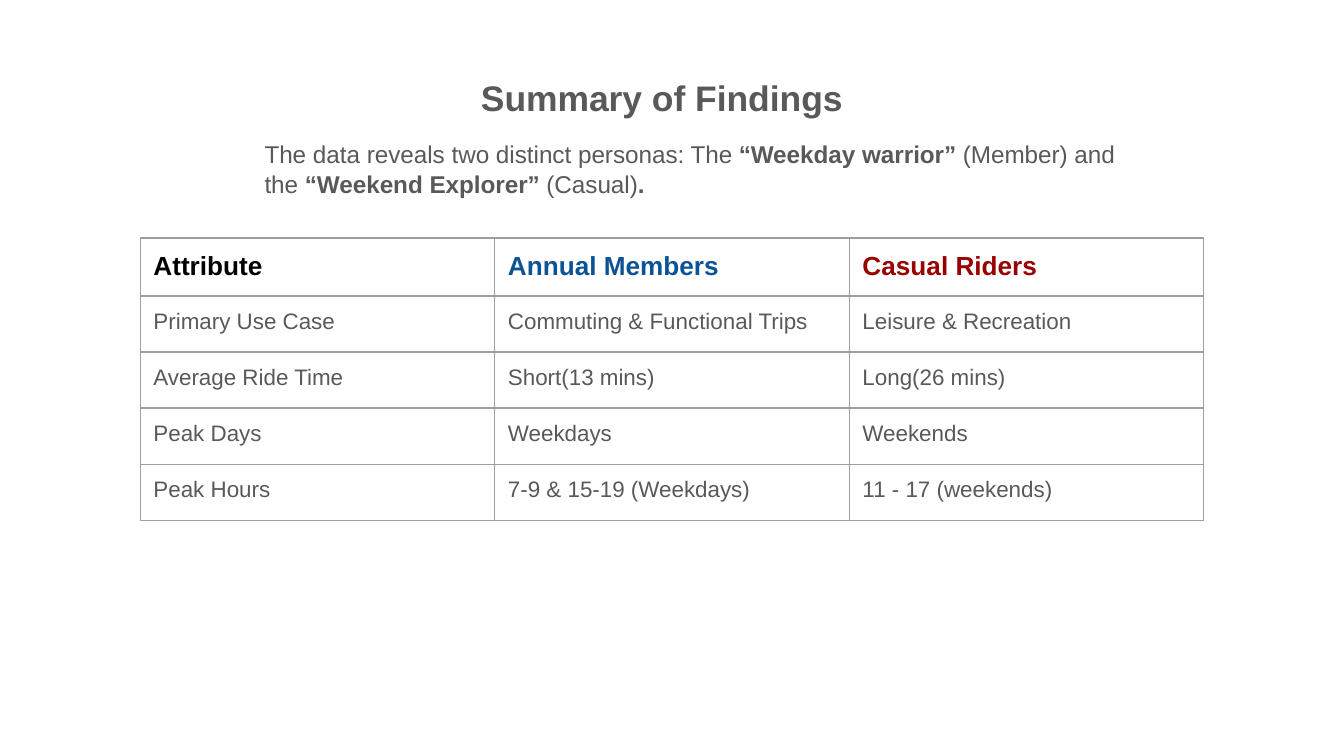
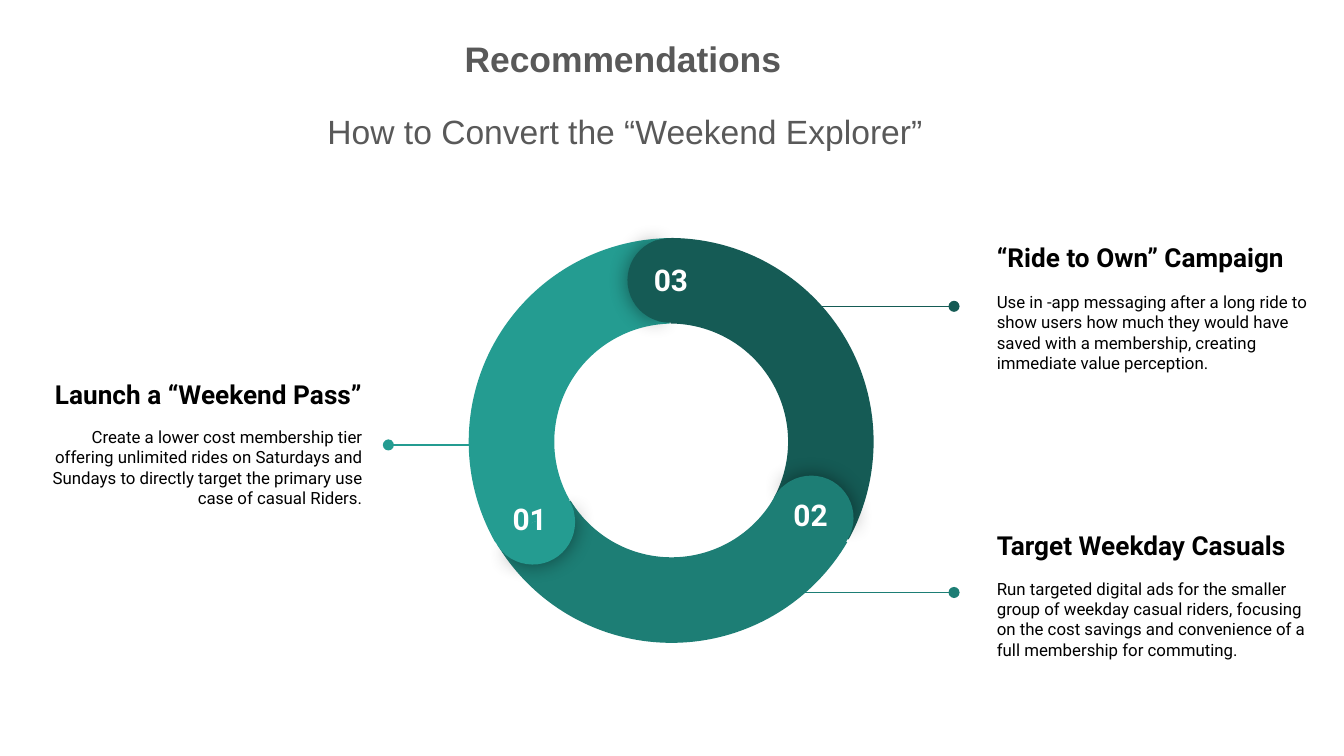
from typing import Any, NamedTuple

from lxml.etree import SubElement
from pptx import Presentation
from pptx.dml.color import RGBColor
from pptx.enum.shapes import MSO_CONNECTOR, MSO_SHAPE
from pptx.enum.text import MSO_ANCHOR, MSO_AUTO_SIZE, PP_ALIGN
from pptx.oxml.ns import qn
from pptx.util import Cm, Pt

COLORS = {
    "text": "595959", "black": "000000", "white": "FFFFFF", "grid": "9E9E9E",
    "member": "0B5394", "casual": "990000",
    "light": "249C91", "mid": "1D7E75", "dark": "155B55",
}
INSET = Cm(0.25)

# Font formats
TITLE = {"name": "Arial", "size": Pt(19), "bold": True, "color": "text"}
SUBTITLE = {**TITLE, "size": Pt(18), "bold": False}
INTRO = {**SUBTITLE, "size": Pt(13)}
STRONG = {**INTRO, "bold": True}
HEADER = {**TITLE, "size": Pt(14), "color": "black"}
CELL = {**INTRO, "size": Pt(12)}
NOTE_HEAD = {**HEADER, "name": "Roboto"}
NOTE_BODY = {**NOTE_HEAD, "size": Pt(9), "bold": False}
NUMBER = {**NOTE_HEAD, "size": Pt(16), "color": "white"}

# Paragraph and frame formats
HEADLINE = {"line_spacing": 1.15, "space_after": Pt(4)}
GROW = {"auto_size": MSO_AUTO_SIZE.SHAPE_TO_FIT_TEXT}
MIDDLE = {"vertical_anchor": MSO_ANCHOR.MIDDLE}
MARGINS = {f"margin_{side}": INSET for side in ("left", "top", "right", "bottom")}


class Box(NamedTuple):
    left: float
    top: float
    width: float
    height: float

    def cm(self) -> list[Cm]:
        return [Cm(v) for v in self]


class Span(NamedTuple):
    text: str
    font: dict


class Para(NamedTuple):
    spans: list[Span]
    form: dict = {}


class Note(NamedTuple):
    head: str
    body: str
    box: Box
    align: PP_ALIGN
    gap: float
    color: str
    line_from: float
    line_to: float
    line_y: float


class Segment(NamedTuple):
    number: str
    color: str
    turn: int
    arc: tuple[float, float]
    cap: tuple[float, float]
    label: tuple[float, float]


TABLE_ROWS = [
    ("Attribute", "Annual Members", "Casual Riders"),
    ("Primary Use Case", "Commuting & Functional Trips", "Leisure & Recreation"),
    ("Average Ride Time", "Short(13 mins)", "Long(26 mins)"),
    ("Peak Days", "Weekdays", "Weekends"),
    ("Peak Hours", "7-9 & 15-19 (Weekdays)", "11 - 17 (weekends)"),
]
HEADER_COLORS = ("black", "member", "casual")
COL_WIDTH, ROW_HEIGHT = 6.7, 1.06

NOTES = [
    Note("Launch a “Weekend Pass”",
         "Create a lower cost membership tier offering unlimited rides on Saturdays "
         "and Sundays to directly target the primary use case of casual Riders.",
         Box(0.64, 6.58, 6.45, 3.58), PP_ALIGN.RIGHT, 9.4, "light", 9.09, 7.34, 8.41),
    Note("“Ride to Own” Campaign",
         "Use in -app messaging after a long ride to show users how much they would "
         "have saved with a membership, creating immediate value perception.",
         Box(18.59, 4.01, 6.58, 3.58), PP_ALIGN.LEFT, 10.5, "dark", 14.48, 18.03, 5.79),
    Note("Target Weekday Casuals",
         "Run targeted digital ads for the smaller group of weekday casual riders, "
         "focusing on the cost savings and convenience of a full membership for commuting.",
         Box(18.59, 9.45, 6.48, 3.58), PP_ALIGN.LEFT, 9.4, "mid", 14.48, 18.03, 11.2),
]

SEGMENTS = [
    Segment("03 ", "dark", 60, (8.81, 4.5), (11.86, 4.5), (12.04, 4.7)),
    Segment("02 ", "mid", 180, (8.84, 4.45), (14.53, 8.99), (14.68, 9.14)),
    Segment("01 ", "light", 300, (8.86, 4.5), (9.27, 9.07), (9.37, 9.22)),
]
RING, CAP = 7.7, 1.6
ARC_ADJ = (126.23, 197.2, 0.21)
SHADED_ADJ, PLAIN_ADJ = (61.9, 149.96), (40.28, 171.84)


def rgb(key: str) -> RGBColor:
    return RGBColor.from_string(COLORS[key])


def apply(target: Any, values: dict) -> None:
    for key, value in values.items():
        if key == "color":
            target.color.rgb = rgb(value)
        else:
            setattr(target, key, value)


def write(tf: Any, paras: list[Para]) -> None:
    for i, para in enumerate(paras):
        p = tf.add_paragraph() if i else tf.paragraphs[0]
        apply(p, para.form)
        for span in para.spans:
            r = p.add_run()
            r.text = span.text
            apply(r.font, span.font)


def add_text(s: Any, box: Box, paras: list[Para], frame: dict) -> None:
    tf = s.shapes.add_textbox(*box.cm()).text_frame
    apply(tf, {"word_wrap": True, **MARGINS, **frame})
    write(tf, paras)


def add_solid_color(parent: Any, key: str) -> Any:
    fill = SubElement(parent, qn("a:solidFill"))
    return SubElement(fill, qn("a:srgbClr"), val=COLORS[key])


def add_borders(cell: Any) -> None:
    tc_pr = cell._tc.get_or_add_tcPr()
    for side in ("lnL", "lnR", "lnT", "lnB"):
        ln = SubElement(tc_pr, qn(f"a:{side}"), w=str(Pt(0.75)))
        add_solid_color(ln, "grid")


def add_findings_table(s: Any) -> None:
    rows, cols = len(TABLE_ROWS), len(HEADER_COLORS)
    box = Box(2.65, 4.5, COL_WIDTH * cols, ROW_HEIGHT * rows)
    table = s.shapes.add_table(rows, cols, *box.cm()).table
    apply(table, {"first_row": False, "horz_banding": False})
    for col in table.columns:
        col.width = Cm(COL_WIDTH)
    for i, texts in enumerate(TABLE_ROWS):
        table.rows[i].height = Cm(ROW_HEIGHT)
        for j, text in enumerate(texts):
            cell = table.cell(i, j)
            apply(cell, MARGINS)
            add_borders(cell)
            cell.fill.background()
            font = CELL if i else {**HEADER, "color": HEADER_COLORS[j]}
            write(cell.text_frame, [Para([Span(text, font)])])


def add_pointer(s: Any, note: Note) -> None:
    y = Cm(note.line_y)
    c = s.shapes.add_connector(
        MSO_CONNECTOR.STRAIGHT, Cm(note.line_from), y, Cm(note.line_to), y)
    apply(c.line, {"color": note.color, "width": Pt(0.75)})
    SubElement(c.line._get_or_add_ln(), qn("a:tailEnd"), type="oval")
    SubElement(c._element.spPr, qn("a:effectLst"))


def add_note(s: Any, note: Note) -> None:
    align = {"alignment": note.align}
    body_form = {**align, "space_before": Pt(note.gap), "space_after": Pt(16)}
    add_text(s, note.box, [
        Para([Span(note.head, NOTE_HEAD)], align),
        Para([Span(note.body, NOTE_BODY)], body_form),
    ], MIDDLE)
    add_pointer(s, note)


def add_ring_part(s: Any, kind: MSO_SHAPE, at: tuple[float, float], size: float,
                  turn: float, adj: tuple[float, ...], color: str) -> Any:
    sp = s.shapes.add_shape(kind, *Box(*at, size, size).cm())
    sp.rotation = turn % 360
    for i, value in enumerate(adj):
        sp.adjustments[i] = value
    sp.fill.solid()
    sp.fill.fore_color.rgb = rgb(color)
    sp.line.fill.background()
    sp.shadow.inherit = False
    return sp


def add_glow(sp: Any) -> None:
    effects = sp._element.spPr.find(qn("a:effectLst"))
    shadow = SubElement(effects, qn("a:outerShdw"), blurRad=str(Pt(11.2)),
                        dist="0", dir="0", algn="ctr", rotWithShape="0")
    SubElement(add_shadow_color(shadow), qn("a:alpha"), val="43000")


def add_shadow_color(shadow: Any) -> Any:
    return SubElement(shadow, qn("a:srgbClr"), val=COLORS["black"])


def add_ring(s: Any) -> None:
    for seg in SEGMENTS:
        add_ring_part(s, MSO_SHAPE.BLOCK_ARC, seg.arc, RING, seg.turn, ARC_ADJ, seg.color)
    # Rounded start of each segment: a shaded half, then a plain half over it
    for seg in SEGMENTS:
        add_glow(add_ring_part(s, MSO_SHAPE.PIE, seg.cap, CAP, seg.turn + 300.7,
                               SHADED_ADJ, seg.color))
        add_ring_part(s, MSO_SHAPE.PIE, seg.cap, CAP, seg.turn + 120,
                      PLAIN_ADJ, seg.color)
    for seg in SEGMENTS:
        add_text(s, Box(*seg.label, 1.42, 0.74),
                 [Para([Span(seg.number, NUMBER)], {"alignment": PP_ALIGN.CENTER})], {})


def add_headline(s: Any, text: str, box: Box, font: dict = TITLE) -> None:
    add_text(s, box, [Para([Span(text, font)], HEADLINE)], GROW)


def build_findings(s: Any) -> None:
    add_headline(s, "Summary of Findings", Box(8.84, 1.07, 7.75, 1.32))
    add_text(s, Box(4.75, 2.39, 17.15, 1.63), [Para([
        Span("The data reveals two distinct personas: The ", INTRO),
        Span("“Weekday warrior” ", STRONG),
        Span("(Member) and the ", INTRO),
        Span("“Weekend Explorer”", STRONG),
        Span(" (Casual)", INTRO),
        Span(".", STRONG),
    ])], GROW)
    add_findings_table(s)


def build_recommendations(s: Any) -> None:
    add_headline(s, "Recommendations", Box(8.53, 0.33, 8.33, 1.32))
    add_headline(s, "How to Convert the “Weekend Explorer”",
                 Box(5.94, 1.73, 13.51, 1.27), SUBTITLE)
    for note in NOTES:
        add_note(s, note)
    add_ring(s)


def main() -> None:
    prs = Presentation()
    apply(prs, {"slide_width": Cm(25.4), "slide_height": Cm(14.29)})
    for build in (build_findings, build_recommendations):
        build(prs.slides.add_slide(prs.slide_layouts[6]))
    prs.save("out.pptx")


if __name__ == "__main__":
    main()
